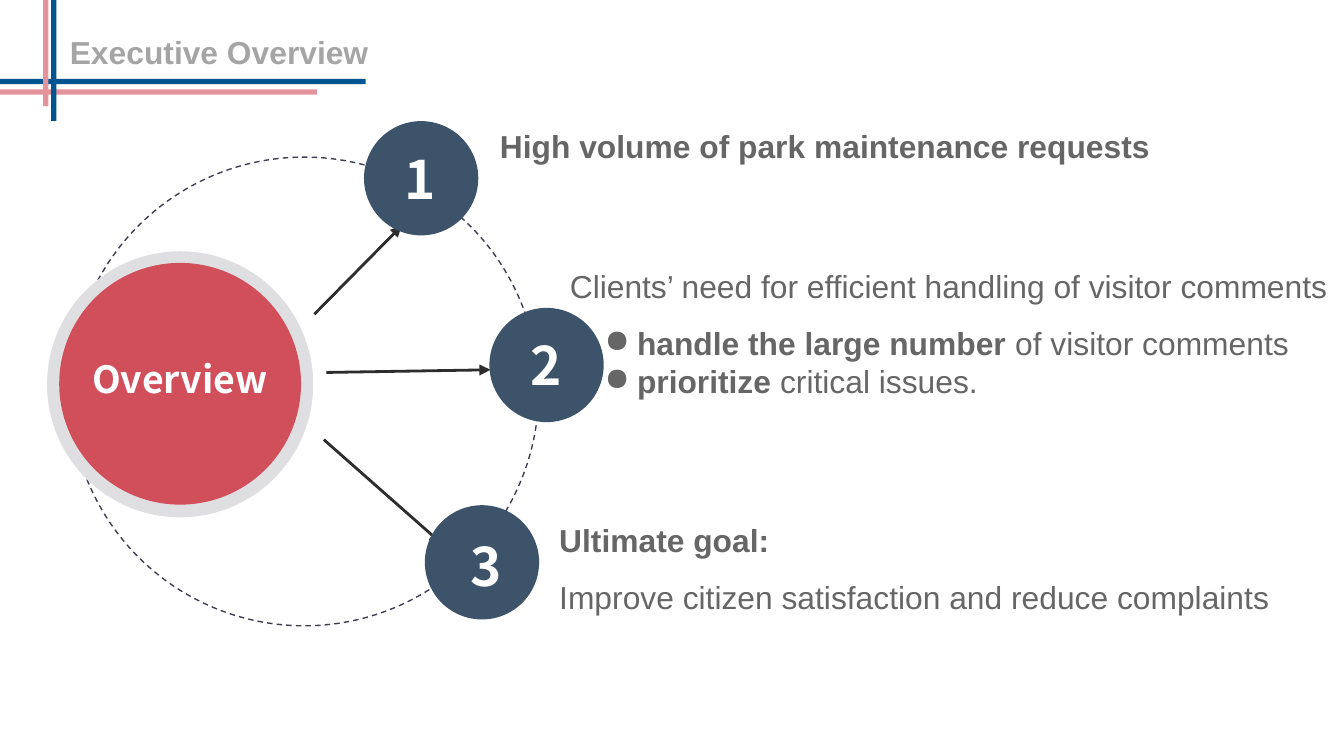
"""Build the Executive Overview slide: a hub circle with three numbered points."""
from lxml.etree import SubElement
from pptx import Presentation
from pptx.dml.color import RGBColor
from pptx.enum.dml import MSO_LINE
from pptx.enum.shapes import MSO_CONNECTOR, MSO_SHAPE
from pptx.enum.text import MSO_ANCHOR, PP_ALIGN as Align
from pptx.oxml.ns import qn
from pptx.util import Cm, Pt

WHITE = RGBColor(0xFF, 0xFF, 0xFF)
PINK = RGBColor(0xE3, 0x93, 0x9B)
BLUE = RGBColor(0x00, 0x54, 0x90)
RED = RGBColor(0xD1, 0x4E, 0x5B)
NAVY = RGBColor(0x3C, 0x53, 0x6A)
RING = RGBColor(0xDF, 0xDF, 0xE1)
ORBIT = RGBColor(0x3E, 0x3D, 0x4F)
ARROW = RGBColor(0x2E, 0x2C, 0x2C)
BODY = RGBColor(0x66, 0x66, 0x66)
HEADING = RGBColor(0xA5, 0xA5, 0xA5)
ROUND_FONT = "Noto Sans CJK SC"

prs = Presentation()
prs.slide_width, prs.slide_height = Cm(25.4), Cm(14.29)
slide = prs.slides.add_slide(prs.slide_layouts[5])
shapes = slide.shapes


def write(frame, paragraphs, font="Arial", size=17, color=BODY,
          align=Align.JUSTIFY, anchor=MSO_ANCHOR.TOP, inset=(0.18, 0.1)):
    """Fill a text frame with paragraphs, each a list of (text, bold) runs."""
    frame.word_wrap = True
    frame.vertical_anchor = anchor
    frame.margin_left = frame.margin_right = Cm(inset[0])
    frame.margin_top = frame.margin_bottom = Cm(inset[1])
    for index, runs in enumerate(paragraphs):
        paragraph = frame.paragraphs[0] if index == 0 else frame.add_paragraph()
        paragraph.alignment = align
        for text, bold in runs:
            run = paragraph.add_run()
            run.text = text
            run.font.name, run.font.size, run.font.bold = font, Pt(size), bold
            run.font.color.rgb = color
    return frame.paragraphs


def add_solid(kind, left, top, width, height, fill=None):
    solid = shapes.add_shape(kind, Cm(left), Cm(top), Cm(width), Cm(height))
    solid.shadow.inherit = False
    solid.line.fill.background()
    if fill is None:
        solid.fill.background()
    else:
        solid.fill.solid()
        solid.fill.fore_color.rgb = fill
    return solid


title = shapes.title
title.left, title.top, title.width, title.height = Cm(1.32), Cm(0.61), Cm(7.8), Cm(0.74)
write(title.text_frame, [[("Executive Overview", True)]], color=HEADING,
      align=Align.LEFT, anchor=MSO_ANCHOR.MIDDLE, inset=(0, 0))

for left, top, angle, color in [(-3.76, 1.69, 0, PINK), (-2.84, 1.49, 0, BLUE),
                                (-3.86, -2.64, 90, BLUE), (-4.01, -2.92, 90, PINK)]:
    bar = add_solid(MSO_SHAPE.RECTANGLE, left, top, 9.75, 0.1, color)
    bar.rotation = angle

orbit = add_solid(MSO_SHAPE.OVAL, 1.32, 2.97, 8.86, 8.86)
orbit.line.color.rgb = ORBIT
orbit.line.width = Pt(0.75)
orbit.line.dash_style = MSO_LINE.DASH

for ends in [(7.59, 4.27, 5.94, 5.94), (8.33, 10.26, 6.12, 8.31), (9.27, 6.99, 6.17, 7.04)]:
    arrow = shapes.add_connector(MSO_CONNECTOR.STRAIGHT, *map(Cm, ends))
    arrow.line.color.rgb = ARROW
    arrow.line.width = Pt(1.5)
    SubElement(arrow.line._get_or_add_ln(), qn("a:headEnd"), type="triangle")
    SubElement(arrow._element.spPr, qn("a:effectLst"))

add_solid(MSO_SHAPE.OVAL, 0.89, 4.75, 5.03, 5.03, RING)
add_solid(MSO_SHAPE.OVAL, 1.12, 4.97, 4.57, 4.57, RED)
hub_label = shapes.add_textbox(Cm(1.52), Cm(6.63), Cm(3.76), Cm(1.04))
write(hub_label.text_frame, [[("Overview", True)]], font=ROUND_FONT, size=20,
      color=WHITE, align=Align.CENTER)

for number, left, top, label_left, label_top in [("1", 6.88, 2.29, 7.09, 2.64),
                                                 ("2", 9.25, 5.82, 9.47, 6.15),
                                                 ("3", 8.03, 9.55, 8.33, 9.96)]:
    add_solid(MSO_SHAPE.OVAL, left, top, 2.16, 2.16, NAVY)
    label = shapes.add_textbox(Cm(label_left), Cm(label_top), Cm(1.7), Cm(1.47))
    write(label.text_frame, [[(number, True)]], font=ROUND_FONT, size=28.4,
          color=WHITE, align=Align.CENTER, inset=(0.25, 0.13))

requests = shapes.add_textbox(Cm(9.27), Cm(2.29), Cm(14.91), Cm(0.91))
write(requests.text_frame, [[("High volume of park maintenance requests", True)]])

needs = shapes.add_textbox(Cm(10.59), Cm(4.95), Cm(15.32), Cm(2.72))
_, *bullets = write(needs.text_frame, [
    [("Clients’ need for efficient handling of visitor comments", False)],
    [("handle the large number", True), (" of visitor comments", False)],
    [("prioritize", True), (" critical issues.", False)],
])
bullets[0].space_before = Pt(10)
for bullet in bullets:
    props = bullet._p.get_or_add_pPr()
    props.set("marL", str(Cm(1.27)))
    props.set("indent", str(Cm(-0.61)))
    bullet_color = SubElement(props, qn("a:buClr"))
    SubElement(bullet_color, qn("a:srgbClr"), val=str(BODY))
    SubElement(props, qn("a:buChar"), char="●")

goal = shapes.add_textbox(Cm(10.39), Cm(9.75), Cm(14.12), Cm(2.01))
_, goal_detail = write(goal.text_frame, [
    [("Ultimate goal:", True)],
    [("Improve citizen satisfaction and reduce complaints", False)],
])
goal_detail.space_before = goal_detail.space_after = Pt(10)

prs.save("out.pptx")
